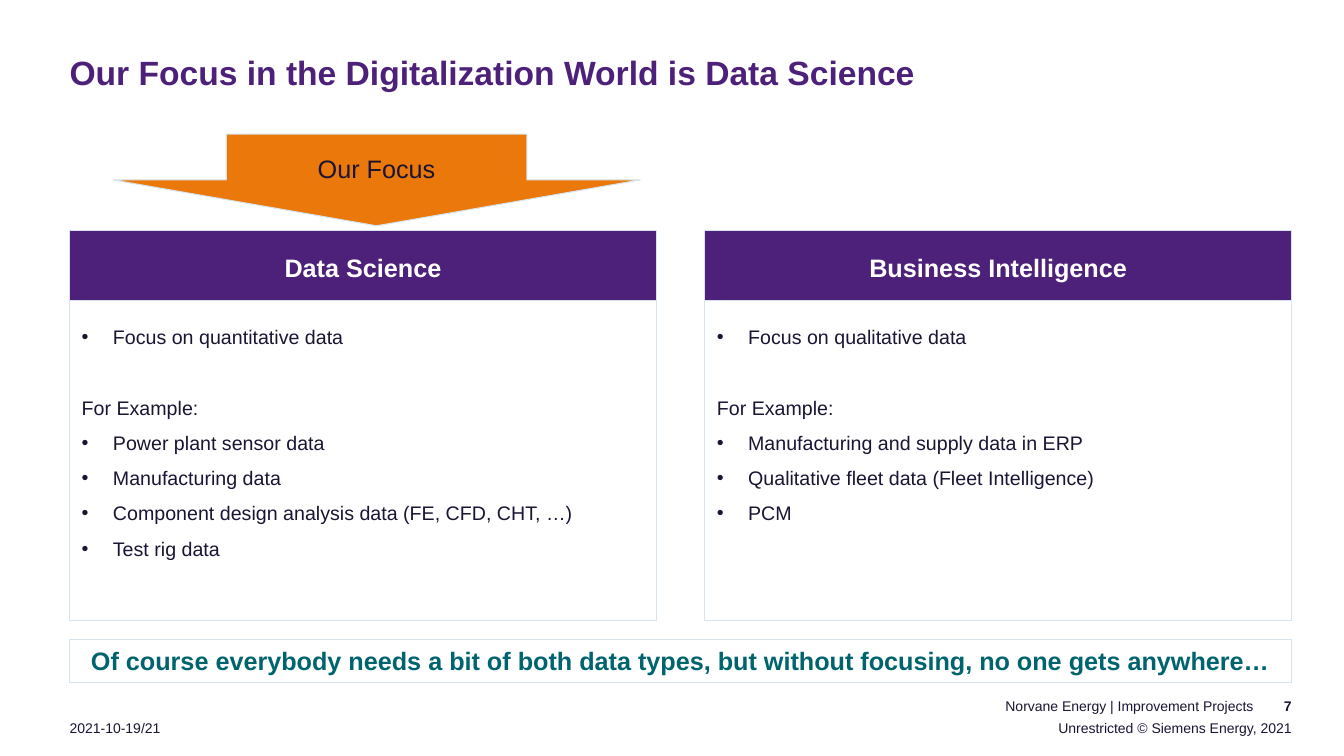
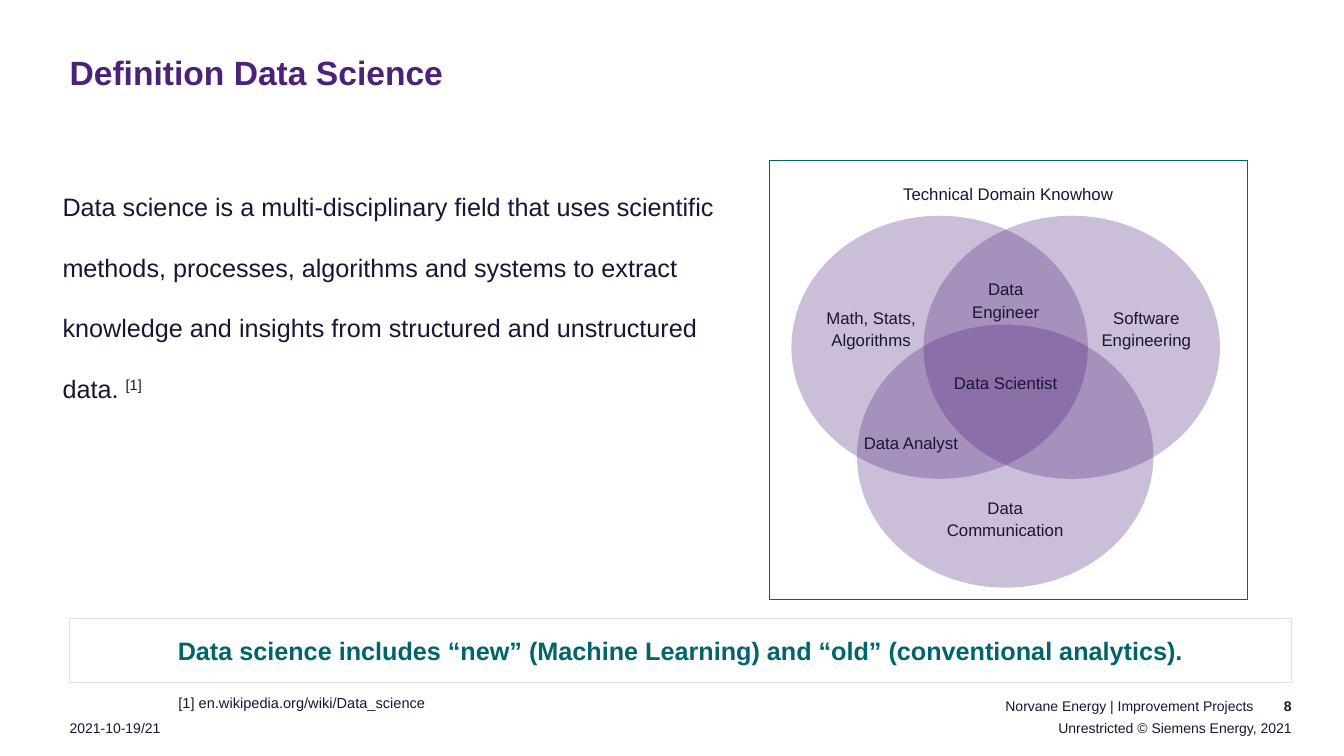
from lxml.etree import SubElement
from pptx import Presentation
from pptx.dml.color import RGBColor
from pptx.enum.shapes import MSO_SHAPE
from pptx.enum.text import MSO_ANCHOR, MSO_AUTO_SIZE, PP_ALIGN
from pptx.oxml.ns import qn
from pptx.util import Pt

PX = 9144  # 100 px to the inch
FONT = "Arial"
PURPLE = RGBColor(0x4D, 0x21, 0x7A)
INK = RGBColor(0x1B, 0x15, 0x34)
TEAL = RGBColor(0x00, 0x64, 0x6E)
ORANGE = RGBColor(0xEB, 0x78, 0x0A)
PALE = RGBColor(0xD7, 0xE4, 0xEE)
WHITE = RGBColor(0xFF, 0xFF, 0xFF)

LEFT, WIDTH = 69, 1212  # content area
PANEL_W, PANEL_TOP = 582, 229
HEADER_H, PANEL_H = 69, 387
PAD = (12, 6, 12, 6)
CENTER, RIGHT = PP_ALIGN.CENTER, PP_ALIGN.RIGHT


# Formatting
def put(obj, values):
    for name, value in values.items():
        setattr(obj, name, value)


def px(*lengths):
    return [length * PX for length in lengths]


def place(shape, *box):
    put(shape, dict(zip(("left", "top", "width", "height"), px(*box))))


def setup(tf, insets=(0, 0, 0, 0), anchor=MSO_ANCHOR.TOP, wrap=True):
    sides = ("margin_left", "margin_top", "margin_right", "margin_bottom")
    put(tf, dict(zip(sides, px(*insets))))
    put(tf, {"auto_size": MSO_AUTO_SIZE.NONE, "word_wrap": wrap,
             "vertical_anchor": anchor})


def add_run(p, text, size, color=INK, bold=False, raised=False):
    r = p.add_run()
    r.text = text
    put(r.font, {"name": FONT, "size": Pt(size), "bold": bold})
    r.font.color.rgb = color
    if raised:
        r.font._element.set("baseline", "30000")


def write(p, text, size, color=INK, bold=False, raised=False,
          align=PP_ALIGN.LEFT, spacing=1.0, before=0):
    put(p, {"alignment": align, "line_spacing": spacing,
            "space_before": Pt(before)})
    add_run(p, text, size, color, bold, raised)


def set_bullet(p, char=None, indent=0):
    pPr = p._p.get_or_add_pPr()
    pPr.set("marL", str(indent * PX))
    pPr.set("indent", str(-indent * PX))
    if char:
        SubElement(pPr, qn("a:buChar")).set("char", char)
    else:
        SubElement(pPr, qn("a:buNone"))


# Elements
def add_label(shapes, box, text, size, insets=(0, 0, 0, 0),
              anchor=MSO_ANCHOR.TOP, wrap=True, **style):
    tf = shapes.add_textbox(*px(*box)).text_frame
    setup(tf, insets, anchor, wrap)
    write(tf.paragraphs[0], text, size, **style)


def paint(shape, fill=None, line=None):
    if fill is None:
        shape.fill.background()
    else:
        shape.fill.solid()
        shape.fill.fore_color.rgb = fill
    if line is None:
        shape.line.fill.background()
    else:
        shape.line.color.rgb = line
        shape.line.width = Pt(0.75)


def add_box(shapes, kind, box, fill=None, line=None):
    sp = shapes.add_shape(kind, *px(*box))
    sp.shadow.inherit = False
    paint(sp, fill, line)
    return sp


def add_text_box(shapes, kind, box, text, size, fill=None, line=PALE,
                 insets=PAD, anchor=MSO_ANCHOR.MIDDLE, **style):
    sp = add_box(shapes, kind, box, fill, line)
    setup(sp.text_frame, insets, anchor)
    write(sp.text_frame.paragraphs[0], text, size, align=CENTER, **style)
    return sp


def add_banner(s, top, height, text):
    add_text_box(s.shapes, MSO_SHAPE.RECTANGLE, (LEFT, top, WIDTH, height),
                 text, 18, insets=(10, 0, 10, 0), color=TEAL, bold=True)


def add_panel(s, body, left, heading, first, examples):
    place(body, left, PANEL_TOP, PANEL_W, PANEL_H)
    paint(body, WHITE, PALE)
    tf = body.text_frame
    setup(tf, (12, 82, 12, 6))
    for i, line in enumerate([first, "For Example:", *examples]):
        p = tf.add_paragraph() if i else tf.paragraphs[0]
        is_intro = i == 1
        set_bullet(p, *(() if is_intro else ("•", 31)))
        write(p, line, 14, spacing=1.5, before=25 if is_intro else 0)
    add_text_box(s.shapes, MSO_SHAPE.RECTANGLE,
                 (left, PANEL_TOP, PANEL_W, HEADER_H), heading, 18,
                 fill=PURPLE, color=WHITE, bold=True, spacing=1.1)


def add_venn(shapes):
    for left, top in ((785, 214), (916, 214), (850, 322)):
        circle = add_box(shapes, MSO_SHAPE.OVAL, (left, top, 294, 261), PURPLE)
        color = circle.fill._xPr.find(".//" + qn("a:srgbClr"))
        SubElement(color, qn("a:alpha")).set("val", "29000")
    for left, top, width, text in (
            (818, 303, 92, "Math, Stats, Algorithms"),
            (937, 492, 120, "Data Communication"),
            (1089, 303, 96, "Software Engineering"),
            (856, 427, 95, "Data Analyst"),
            (958, 275, 79, "Data Engineer"),
            (926, 368, 143, "Data Scientist")):
        add_label(shapes, (left, top, width, 25), text, 12,
                  align=CENTER, spacing=1.1)


# Shared slide frame
def add_slide(prs, layout, title, number):
    s = prs.slides.add_slide(prs.slide_layouts[layout])
    place(s.shapes.title, 0, 0, 1056, 155)
    tf = s.shapes.title.text_frame
    setup(tf, (LEFT, 41, 0, 0))
    write(tf.paragraphs[0], title, 24, PURPLE, True, spacing=1.25)

    bottom = MSO_ANCHOR.BOTTOM
    add_label(s.shapes, (683, 674, 651, 39),
              "Norvane Energy | Improvement Projects", 10,
              (0, 0, 91, 4), bottom, align=RIGHT)
    add_label(s.shapes, (683, 714, 651, 36),
              "Unrestricted © Siemens Energy, 2021", 10,
              (69, 0, 53, 0), align=RIGHT)
    add_label(s.shapes, (1243, 674, 91, 39), str(number), 10,
              (0, 0, 53, 4), bottom, align=RIGHT, bold=True)
    add_label(s.shapes, (0, 714, 185, 36), "2021-10-19/21", 10,
              (LEFT, 0, 0, 0))
    return s


# Slides
def focus_slide(prs):
    s = add_slide(prs, 3, "Our Focus in the Digitalization World is Data Science", 7)
    add_banner(s, 634, 43, "Of course everybody needs a bit of both data types, "
                           "but without focusing, no one gets anywhere…")
    add_panel(s, s.placeholders[1], LEFT, "Data Science",
              "Focus on quantitative data",
              ["Power plant sensor data", "Manufacturing data",
               "Component design analysis data (FE, CFD, CHT, …)",
               "Test rig data"])
    add_panel(s, s.placeholders[2], LEFT + WIDTH - PANEL_W,
              "Business Intelligence", "Focus on qualitative data",
              ["Manufacturing and supply data in ERP",
               "Qualitative fleet data (Fleet Intelligence)", "PCM"])
    arrow = add_text_box(s.shapes, MSO_SHAPE.DOWN_ARROW, (112, 133, 523, 91),
                         "Our Focus", 18, fill=ORANGE, spacing=1.1)
    arrow.adjustments[0] = 0.57
    arrow.adjustments[1] = 0.5


def definition_slide(prs):
    s = add_slide(prs, 1, "Definition Data Science", 8)
    body = s.placeholders[1]
    place(body, 62, 160, 684, 297)
    setup(body.text_frame)
    p = body.text_frame.paragraphs[0]
    set_bullet(p)
    write(p, "Data science is a multi-disciplinary field that uses scientific "
             "methods, processes, algorithms and systems to "
             "extract knowledge and insights from structured and "
             "unstructured data. ", 18, spacing=2.0)
    add_run(p, "[1]", 18, raised=True)

    add_venn(s.shapes.add_group_shape().shapes)
    add_text_box(s.shapes, MSO_SHAPE.RECTANGLE, (763, 159, 474, 436),
                 "Technical Domain Knowhow", 12, line=TEAL,
                 insets=(12, 21, 12, 6), anchor=MSO_ANCHOR.TOP, spacing=1.1)
    add_banner(s, 614, 63, "Data science includes “new” (Machine Learning) "
                           "and “old” (conventional analytics).")
    add_label(s.shapes, (177, 682, 884, 26),
              "[1] en.wikipedia.org/wiki/Data_science", 18,
              wrap=False, raised=True, spacing=1.1)


def main():
    prs = Presentation()
    put(prs, dict(zip(("slide_width", "slide_height"), px(1333, 750))))
    focus_slide(prs)
    definition_slide(prs)
    prs.save("out.pptx")


if __name__ == "__main__":
    main()
